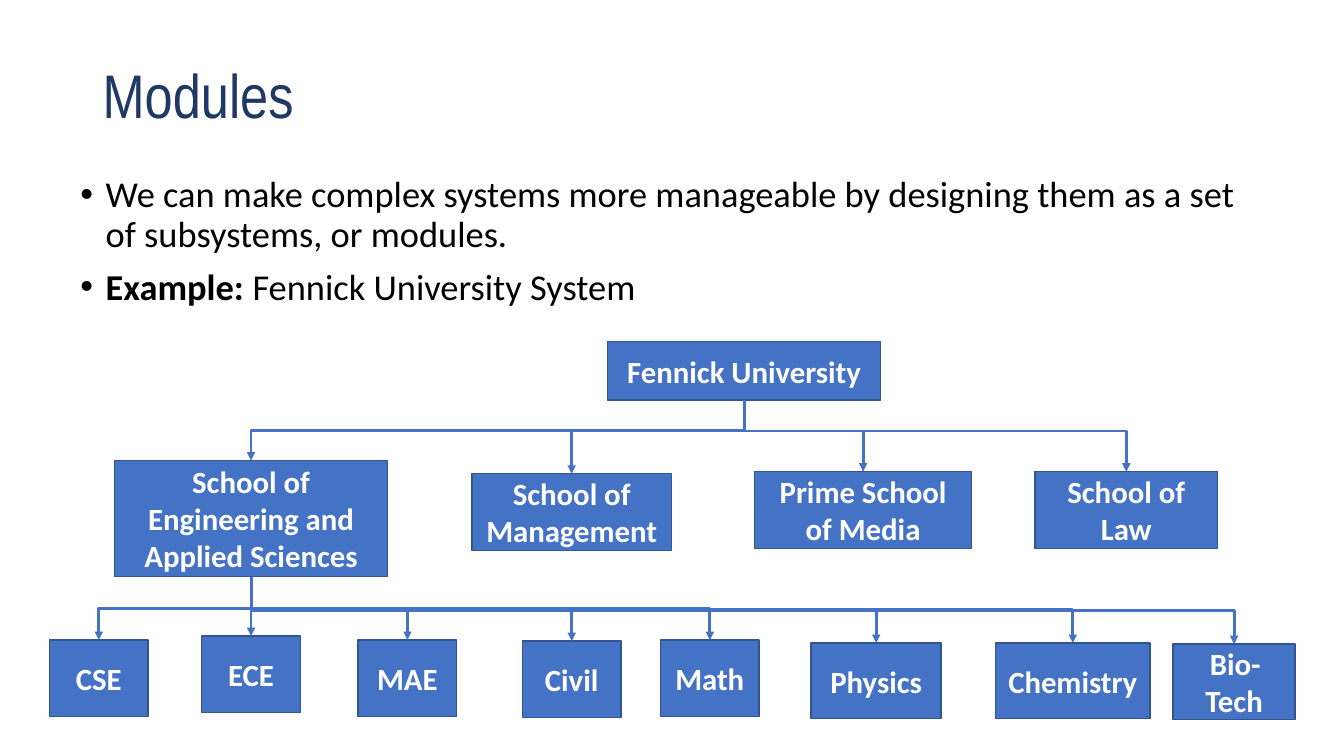
from dataclasses import dataclass

from lxml import etree
from pptx import Presentation
from pptx.dml.color import RGBColor
from pptx.enum.shapes import MSO_CONNECTOR, MSO_SHAPE
from pptx.enum.text import MSO_ANCHOR, PP_ALIGN
from pptx.oxml.ns import qn
from pptx.shapes.autoshape import Shape
from pptx.slide import Slide
from pptx.util import Emu, Inches, Pt

ELBOW = MSO_CONNECTOR.ELBOW
RECTANGLE = MSO_SHAPE.RECTANGLE
MIDDLE = MSO_ANCHOR.MIDDLE
CENTER = PP_ALIGN.CENTER
BOTTOM_SITE, TOP_SITE = 2, 0

NAVY = RGBColor(0x20, 0x38, 0x64)
BLACK = RGBColor(0x00, 0x00, 0x00)
WHITE = RGBColor(0xFF, 0xFF, 0xFF)
BLUE = RGBColor(0x44, 0x72, 0xC4)
BLUE_EDGE = RGBColor(0x32, 0x54, 0x91)

# The grid: ten columns and ten rows to the inch
CELL = Inches(0.1)
BODY_FONT = "Calibri"
TITLE_FONT = "Arial Narrow"


@dataclass(frozen=True)
class Unit:
    """A box of the organisation chart, placed by its centre column and top row."""
    name: str
    center: float
    top: float
    width: float
    height: float = 7.6
    bend: float = 0.5  # share of the drop at which the incoming arrow turns


@dataclass(frozen=True)
class Phrase:
    text: str
    bold: bool = False


UNIVERSITY = Unit("Fennick University", 73.8, 33.9, 27.1, 5.8)
ENGINEERING = Unit("School of Engineering and Applied Sciences", 24.9, 45.7, 27.1, 11.5)
SCHOOLS = [
    ENGINEERING,
    Unit("School of Management", 56.7, 47, 19.8, bend=0.41),
    Unit("Prime School of Media", 85.6, 46.8, 21.5, bend=0.43),
    Unit("School of Law", 111.7, 46.8, 18.1, bend=0.43),
]
DEPARTMENTS = [
    Unit("CSE", 9.8, 63.5, 9.8),
    Unit("ECE", 24.9, 63.1, 9.8),
    Unit("MAE", 40.4, 63.5, 9.8),
    Unit("Civil", 56.7, 63.6, 9.8),
    Unit("Math", 70.4, 63.5, 9.8),
    Unit("Physics", 86.9, 63.8, 12.9, 7.5),
    Unit("Chemistry", 106.4, 63.8, 15.3, 7.5),
    Unit("Bio-Tech", 122.4, 63.9, 12.1, 7.5),
]
POINTS = [
    [Phrase("We can make complex systems more manageable by designing them "
            "as a set of subsystems, or modules.")],
    [Phrase("Example: ", bold=True), Phrase("Fennick University System")],
]


def cells(count: float) -> Emu:
    return Emu(round(count * CELL))


def add_phrase(paragraph, phrase: Phrase, size: float, color: RGBColor,
               font: str = BODY_FONT) -> None:
    run = paragraph.add_run()
    run.text = phrase.text
    run.font.name = font
    run.font.size = Pt(size)
    run.font.bold = phrase.bold
    run.font.color.rgb = color


def add_title(slide: Slide, text: str) -> None:
    title = slide.shapes.add_textbox(cells(9.2), cells(2.5), cells(115), cells(14.5))
    frame = title.text_frame
    frame.word_wrap = True
    frame.vertical_anchor = MIDDLE
    frame.paragraphs[0].line_spacing = 0.9
    add_phrase(frame.paragraphs[0], Phrase(text), 44, NAVY, TITLE_FONT)


def add_points(slide: Slide, points: list[list[Phrase]]) -> None:
    body = slide.shapes.add_textbox(cells(7), cells(17), cells(119.3), cells(53.1))
    frame = body.text_frame
    frame.word_wrap = True
    for index, phrases in enumerate(points):
        paragraph = frame.add_paragraph() if index else frame.paragraphs[0]
        paragraph.line_spacing = 0.9
        paragraph.space_before = Pt(10)
        properties = paragraph._p.get_or_add_pPr()
        properties.set("marL", str(Inches(0.25)))
        properties.set("indent", str(-Inches(0.25)))
        etree.SubElement(properties, qn("a:buFont"), typeface="Arial")
        etree.SubElement(properties, qn("a:buChar"), char="•")
        for phrase in phrases:
            add_phrase(paragraph, phrase, 26, BLACK)


def add_unit(slide: Slide, unit: Unit) -> Shape:
    box = slide.shapes.add_shape(
        RECTANGLE, cells(unit.center - unit.width / 2), cells(unit.top),
        cells(unit.width), cells(unit.height))
    box.shadow.inherit = False
    box.fill.solid()
    box.fill.fore_color.rgb = BLUE
    box.line.color.rgb = BLUE_EDGE
    box.line.width = Pt(1)
    frame = box.text_frame
    frame.word_wrap = True
    frame.vertical_anchor = MIDDLE
    frame.paragraphs[0].alignment = CENTER
    add_phrase(frame.paragraphs[0], Phrase(unit.name, bold=True), 22, WHITE)
    return box


def add_arrow(slide: Slide, parent: Shape, child: Shape, bend: float) -> None:
    """Draw an elbow arrow that goes down, across, and down again."""
    start_x, start_y = parent.left + parent.width // 2, parent.top + parent.height
    end_x, end_y = child.left + child.width // 2, child.top
    across, drop = end_x - start_x, end_y - start_y
    arrow = slide.shapes.add_connector(ELBOW, start_x, start_y, end_x, end_y)
    arrow.begin_connect(parent, BOTTOM_SITE)
    arrow.end_connect(child, TOP_SITE)

    # An elbow leaves sideways, so its frame is turned about its centre
    arrow.width, arrow.height = Emu(drop), Emu(abs(across))
    arrow.left = Emu((start_x + end_x - drop) // 2)
    arrow.top = Emu((start_y + end_y - abs(across)) // 2)
    properties = arrow.element.spPr
    frame = properties.find(qn("a:xfrm"))
    rightward = across > 0
    frame.set("rot", str((270 if rightward else 90) * 60000))
    frame.set("flipH", "1" if rightward else "0")
    geometry = properties.find(qn("a:prstGeom"))
    guides = geometry.find(qn("a:avLst"))
    etree.SubElement(guides, qn("a:gd"), name="adj1", fmla=f"val {round(bend * 100000)}")

    arrow.line.color.rgb = BLUE
    arrow.line.width = Pt(2)
    etree.SubElement(properties.find(qn("a:ln")), qn("a:tailEnd"), type="triangle")
    etree.SubElement(properties, qn("a:effectLst"))


def add_branch(slide: Slide, parent: Shape, units: list[Unit]) -> dict[str, Shape]:
    boxes = {unit.name: add_unit(slide, unit) for unit in units}
    for unit in units:
        add_arrow(slide, parent, boxes[unit.name], unit.bend)
    return boxes


def main() -> None:
    presentation = Presentation()
    presentation.slide_width = Inches(13.33)
    presentation.slide_height = Inches(7.5)
    slide = presentation.slides.add_slide(presentation.slide_layouts[6])

    # Heading and bullet points
    add_title(slide, "Modules")
    add_points(slide, POINTS)

    # Organisation chart
    university = add_unit(slide, UNIVERSITY)
    schools = add_branch(slide, university, SCHOOLS)
    add_branch(slide, schools[ENGINEERING.name], DEPARTMENTS)

    presentation.save("out.pptx")


if __name__ == "__main__":
    main()
